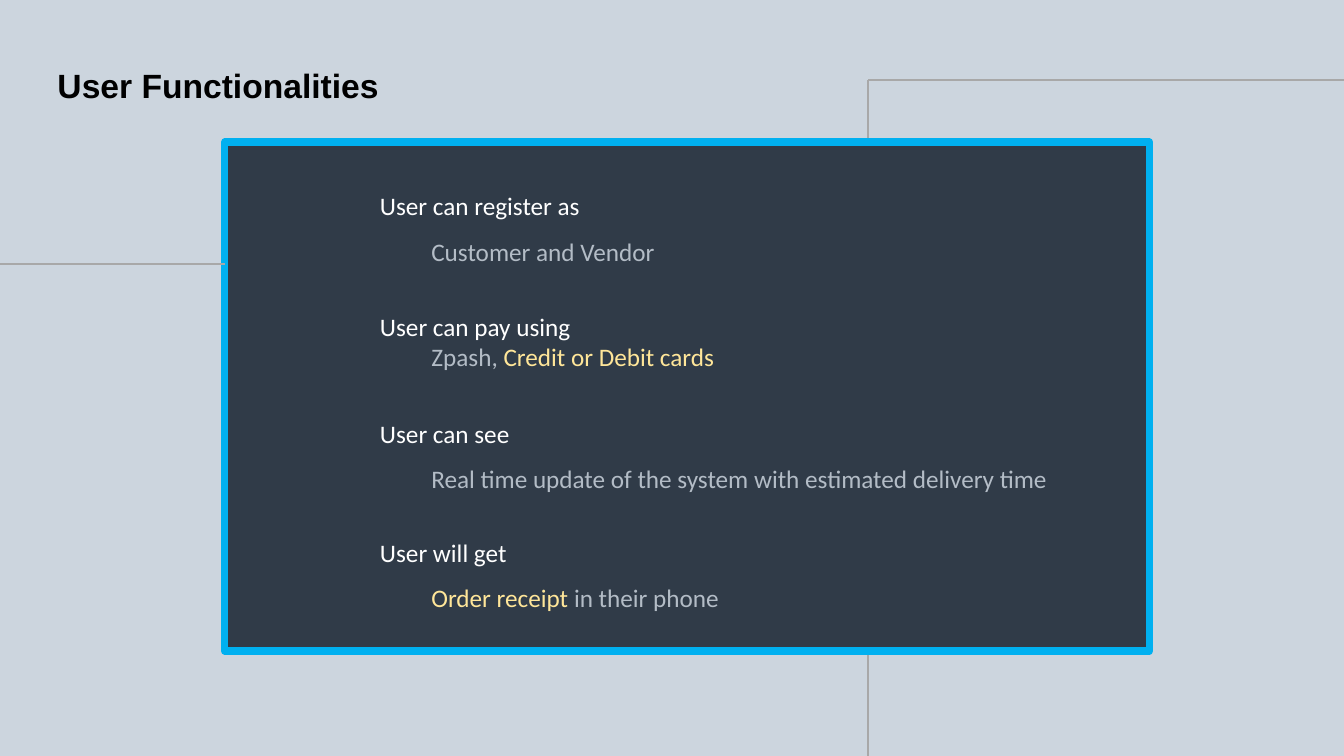
"""Build the User Functionalities slide."""
from pptx import Presentation
from pptx.dml.color import RGBColor
from pptx.enum.shapes import MSO_CONNECTOR, MSO_SHAPE
from pptx.enum.text import MSO_ANCHOR, MSO_AUTO_SIZE, PP_ALIGN
from pptx.oxml.ns import qn
from pptx.util import Inches, Pt
from lxml import etree

STRAIGHT = MSO_CONNECTOR.STRAIGHT
RECTANGLE = MSO_SHAPE.RECTANGLE
TOP = MSO_ANCHOR.TOP
NO_AUTOFIT = MSO_AUTO_SIZE.NONE
LEFT = PP_ALIGN.LEFT
TITLE_ONLY = 5

COLORS = {
    "background": "CCD5DE",
    "panel": "303B48",
    "border": "00B0F0",
    "rule": "A8A8A8",
    "title": "000000",
    "heading": "FFFFFF",
    "detail": "B3BCC6",
    "highlight": "FFE699",
}
TEXT_LEFT = 3.67
DETAIL_INDENT = 0.51

# top, width, height, heading, heading spacing, detail spacing, detail runs
FUNCTIONALITIES = [
    (1.69, 5.76, 0.95, "User can register as", 1.5, 1.5,
     [("Customer and Vendor", "detail")]),
    (2.74, 7.05, 1.01, "User can pay using", 2.0, 1.0,
     [("Zpash, ", "detail"), ("Credit or Debit cards", "highlight")]),
    (3.95, 6.88, 0.95, "User can see", 1.5, 1.5,
     [("Real time update of the system with estimated delivery time", "detail")]),
    (5.13, 6.88, 0.95, "User will get", 1.5, 1.5,
     [("Order receipt ", "highlight"), ("in their phone", "detail")]),
]


def color(name):
    """Return the named colour."""
    return RGBColor.from_string(COLORS[name])


def add_rule(slide, start, end, weight):
    """Draw a plain grey line between two points."""
    rule = slide.shapes.add_connector(
        STRAIGHT, *(Inches(length) for length in start + end))
    rule.line.color.rgb = color("rule")
    rule.line.width = Pt(weight)
    etree.SubElement(rule._element.spPr, qn("a:effectLst"))


def add_panel(slide):
    """Draw the dark panel with its bright border."""
    panel = slide.shapes.add_shape(
        RECTANGLE, Inches(2.23), Inches(1.41), Inches(9.17), Inches(5.05))
    panel.shadow.inherit = False
    panel.fill.solid()
    panel.fill.fore_color.rgb = color("panel")
    panel.line.color.rgb = color("border")
    panel.line.width = Pt(5.25)


def set_title(slide, text):
    """Place and format the slide title."""
    title = slide.shapes.title
    title.left, title.top = Inches(0.47), Inches(0.59)
    title.width, title.height = Inches(5.5), Inches(0.5)
    frame = title.text_frame
    frame.text = text
    frame.word_wrap = True
    frame.auto_size = NO_AUTOFIT
    frame.vertical_anchor = TOP
    paragraph = frame.paragraphs[0]
    paragraph.alignment = LEFT
    paragraph.font.name = "Arial"
    paragraph.font.size = Pt(24)
    paragraph.font.bold = True
    paragraph.font.color.rgb = color("title")


def fill_paragraph(paragraph, runs, spacing):
    """Write coloured runs into a paragraph."""
    paragraph.line_spacing = spacing
    paragraph.font.name = "Calibri"
    paragraph.font.size = Pt(18)
    for text, color_name in runs:
        run = paragraph.add_run()
        run.text = text
        run.font.color.rgb = color(color_name)


def add_functionality(slide, top, width, height, heading,
                      heading_spacing, detail_spacing, detail_runs):
    """Add a heading with an indented detail line below it."""
    box = slide.shapes.add_textbox(
        Inches(TEXT_LEFT), Inches(top), Inches(width), Inches(height))
    frame = box.text_frame
    frame.word_wrap = True
    fill_paragraph(frame.paragraphs[0], [(heading, "heading")], heading_spacing)
    detail = frame.add_paragraph()
    detail._p.get_or_add_pPr().set("marL", str(Inches(DETAIL_INDENT)))
    fill_paragraph(detail, detail_runs, detail_spacing)


def main():
    """Build and save the presentation."""
    presentation = Presentation()
    presentation.slide_width = Inches(13.33)
    presentation.slide_height = Inches(7.5)
    slide = presentation.slides.add_slide(presentation.slide_layouts[TITLE_ONLY])
    slide.background.fill.solid()
    slide.background.fill.fore_color.rgb = color("background")

    set_title(slide, "User Functionalities")
    add_rule(slide, (8.61, 0.79), (8.61, 7.5), 1.25)
    add_panel(slide)
    add_rule(slide, (0, 2.62), (2.23, 2.62), 1.5)
    add_rule(slide, (8.61, 0.79), (13.33, 0.79), 1.5)
    for functionality in FUNCTIONALITIES:
        add_functionality(slide, *functionality)
    presentation.save("out.pptx")


if __name__ == "__main__":
    main()
